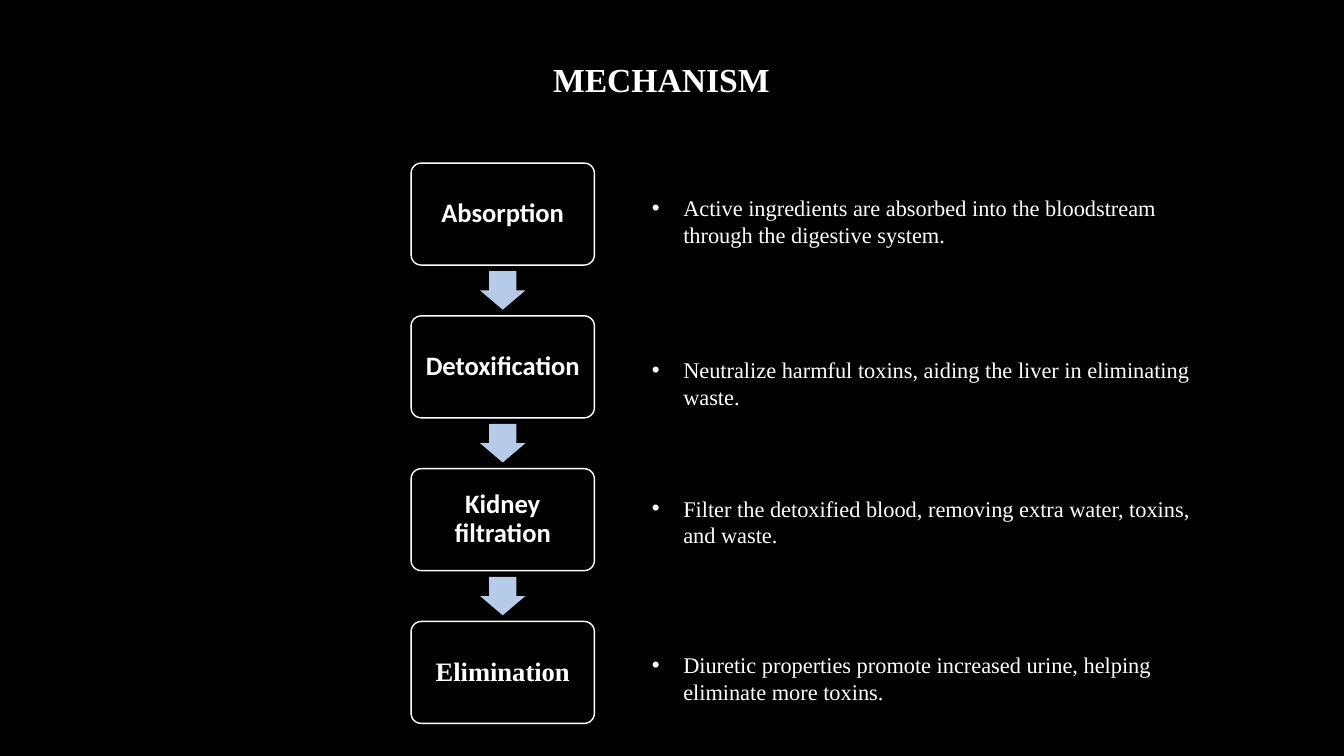
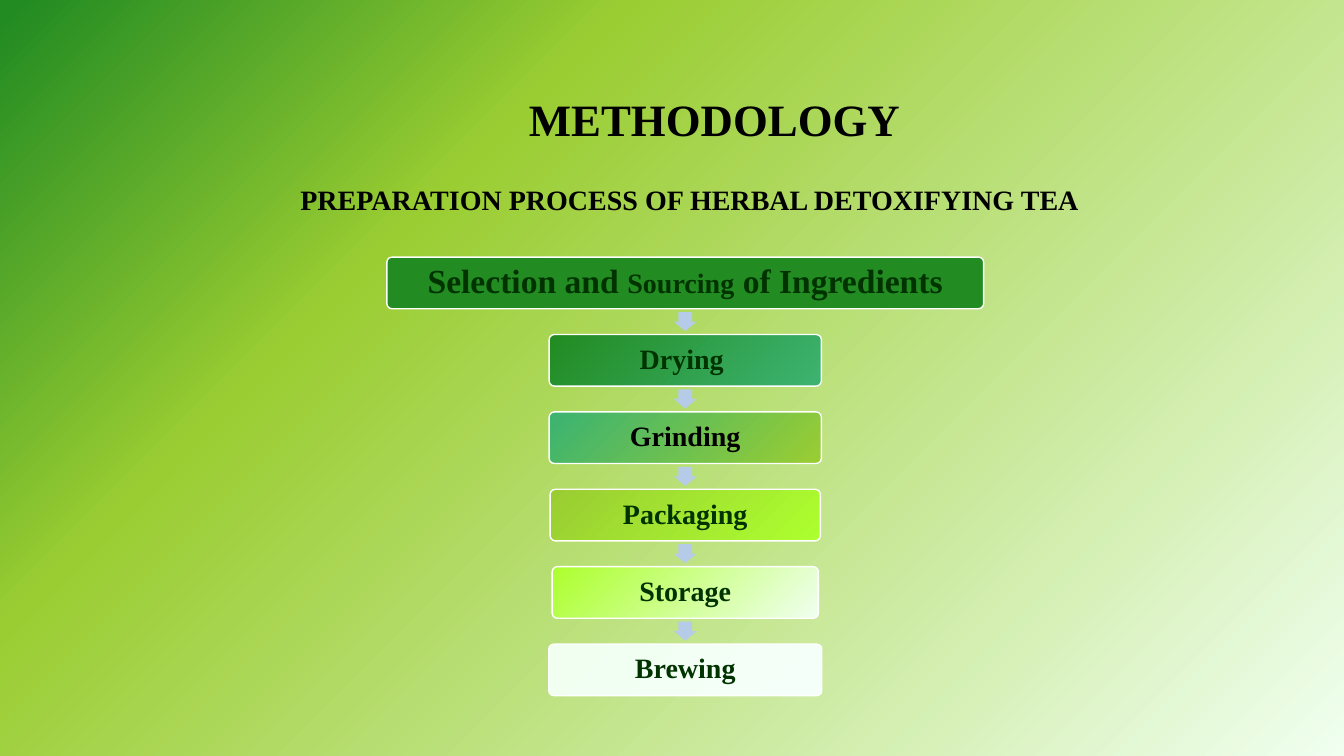
from copy import deepcopy

from lxml import etree
from pptx import Presentation
from pptx.dml.color import RGBColor
from pptx.enum.shapes import MSO_SHAPE
from pptx.enum.text import MSO_ANCHOR, PP_ALIGN
from pptx.oxml.ns import qn
from pptx.util import Cm, Pt

ROUNDED, DOWN_ARROW = MSO_SHAPE.ROUNDED_RECTANGLE, MSO_SHAPE.DOWN_ARROW
MIDDLE, CENTER = MSO_ANCHOR.MIDDLE, PP_ALIGN.CENTER

COLORS = {
    "black": "000000", "white": "FFFFFF", "arrow": "B5CBE7", "ink": "003300",
    "forest": "228B22", "sea": "3CB371", "yellowgreen": "9ACD32",
    "lime": "ADFF2F", "honeydew": "F0FFF0", "mint": "F5FFFA",
}
SERIF, SANS = "Times New Roman", "Calibri"
DOWN_RIGHT = 315  # counter-clockwise degrees
BULLET_INDENT = Cm(0.79)

# Headings: text, size, colour, (left, top, width, height) in cm
MECHANISM_TITLE = ("MECHANISM", 24, "white", (13.69, 1.37, 16.23, 1.27))
METHODOLOGY_TITLE = ("METHODOLOGY", 32, "black", (13.08, 2.18, 19, 1.63))
METHODOLOGY_SUBTITLE = ("PREPARATION PROCESS OF HERBAL DETOXIFYING TEA", 20, "black",
                        (7.32, 4.47, 23.52, 1.27))

# Steps: label runs (text, size), font, text colour, box width in cm, fill colours
MECHANISM_STEPS = [
    ([(label, 19)], font, "white", 4.62, ())
    for label, font in [("Absorption", SANS), ("Detoxification", SANS),
                        ("Kidney filtration", SANS), ("Elimination", SERIF)]
]
METHODOLOGY_STEPS = [
    ([("Selection and ", 24), ("Sourcing", 20), (" of Ingredients", 24)],
     SERIF, "ink", 15.04, ("forest",)),
    ([("Drying ", 20)], SERIF, "ink", 6.86, ("forest", "sea")),
    ([("Grinding", 20)], SERIF, "black", 6.86, ("sea", "yellowgreen")),
    ([("Packaging", 20)], SERIF, "ink", 6.81, ("yellowgreen", "lime")),
    ([("Storage", 20)], SERIF, "ink", 6.71, ("lime", "honeydew")),
    ([("Brewing", 20)], SERIF, "ink", 6.88, ("honeydew", "mint")),
]
# Flow layouts in cm
MECHANISM_FLOW = {"center": 12.67, "top": 4.11, "height": 2.57, "pitch": 3.85,
                  "arrow": (1.14, 0.97)}
METHODOLOGY_FLOW = {"center": 17.27, "top": 6.48, "height": 1.3, "pitch": 1.95,
                    "arrow": (0.58, 0.48)}

# Explanations: top in cm, text
EXPLANATIONS = [
    (4.78, "Active ingredients are absorbed into the bloodstream through the digestive system."),
    (8.86, "Neutralize harmful toxins, aiding the liver in eliminating waste."),
    (12.34, "Filter the detoxified blood, removing extra water, toxins, and waste."),
    (16.28, "Diuretic properties promote increased urine, helping eliminate more toxins."),
]
BACKGROUND_STOPS = [(0.01, "forest"), (0.3, "yellowgreen"), (1, "honeydew")]


def rgb(name):
    return RGBColor.from_string(COLORS[name])


def fill_solid(fill, color):
    fill.solid()
    fill.fore_color.rgb = rgb(color)


def fill_gradient(fill, element, stops):
    """Fill diagonally; element is the XML that holds the fill's stop list."""
    fill.gradient()
    fill.gradient_angle = DOWN_RIGHT
    stop_list = element.find(".//" + qn("a:gsLst"))
    while len(stop_list) < len(stops):
        stop_list.append(deepcopy(stop_list[-1]))
    for stop, (position, color) in zip(fill.gradient_stops, stops):
        stop.position = position
        stop.color.rgb = rgb(color)


def add_run(paragraph, text, size, color, font=SERIF, bold=True):
    run = paragraph.add_run()
    run.text = text
    run.font.color.rgb = rgb(color)
    for name, value in {"size": Pt(size), "name": font, "bold": bold}.items():
        setattr(run.font, name, value)


def add_text(slide, text, size, color, box, bold=True):
    frame = slide.shapes.add_textbox(*map(Cm, box)).text_frame
    frame.word_wrap = True
    paragraph = frame.paragraphs[0]
    add_run(paragraph, text, size, color, bold=bold)
    return paragraph


def add_bullet(paragraph):
    properties = paragraph._p.get_or_add_pPr()
    properties.set("marL", str(BULLET_INDENT))
    properties.set("indent", str(-BULLET_INDENT))
    etree.SubElement(properties, qn("a:buFont")).set("typeface", "Arial")
    etree.SubElement(properties, qn("a:buChar")).set("char", "•")


def add_centered(slide, preset, center, top, width, height, adjustments):
    shape = slide.shapes.add_shape(
        preset, Cm(center - width / 2), Cm(top), Cm(width), Cm(height))
    shape.shadow.inherit = False
    for index, value in enumerate(adjustments):
        shape.adjustments[index] = value
    return shape


def add_step(slide, step, flow, top):
    runs, font, color, width, fills = step
    box = add_centered(slide, ROUNDED, flow["center"], top, width, flow["height"], [0.1])
    box.line.color.rgb = rgb("white")
    box.line.width = Pt(1)
    if not fills:
        box.fill.background()
    elif len(fills) == 1:
        fill_solid(box.fill, fills[0])
    else:
        fill_gradient(box.fill, box.element, list(zip((0.01, 1), fills)))
    frame = box.text_frame
    frame_format = {"word_wrap": True, "vertical_anchor": MIDDLE}
    frame_format.update({f"margin_{side}": Cm(0.25)
                         for side in ("left", "top", "right", "bottom")})
    for name, value in frame_format.items():
        setattr(frame, name, value)
    paragraph = frame.paragraphs[0]
    paragraph.alignment = CENTER
    paragraph.line_spacing = 0.9
    for text, size in runs:
        add_run(paragraph, text, size, color, font)


def add_flow(slide, steps, flow):
    """Stack the step boxes, with an arrow in the middle of each gap."""
    arrow_width, arrow_height = flow["arrow"]
    for index, step in enumerate(steps):
        top = flow["top"] + index * flow["pitch"]
        if index:
            gap_middle = top - (flow["pitch"] - flow["height"]) / 2
            arrow = add_centered(slide, DOWN_ARROW, flow["center"],
                                 gap_middle - arrow_height / 2,
                                 arrow_width, arrow_height, [0.6, 0.5])
            fill_solid(arrow.fill, "arrow")
            arrow.line.fill.background()
        add_step(slide, step, flow, top)


def build_mechanism(slide):
    fill_solid(slide.background.fill, "black")
    add_text(slide, *MECHANISM_TITLE)
    add_flow(slide, MECHANISM_STEPS, MECHANISM_FLOW)
    for top, text in EXPLANATIONS:
        add_bullet(add_text(slide, text, 16, "white", (16.18, top, 14.99, 1.63), bold=False))


def build_methodology(slide):
    fill_gradient(slide.background.fill, slide.element, BACKGROUND_STOPS)
    add_text(slide, *METHODOLOGY_TITLE)
    add_text(slide, *METHODOLOGY_SUBTITLE)
    add_flow(slide, METHODOLOGY_STEPS, METHODOLOGY_FLOW)


def main():
    deck = Presentation()
    deck.slide_width, deck.slide_height = Cm(33.87), Cm(19.05)
    blank = deck.slide_layouts[6]
    for build in (build_mechanism, build_methodology):
        build(deck.slides.add_slide(blank))
    deck.save("out.pptx")


if __name__ == "__main__":
    main()
